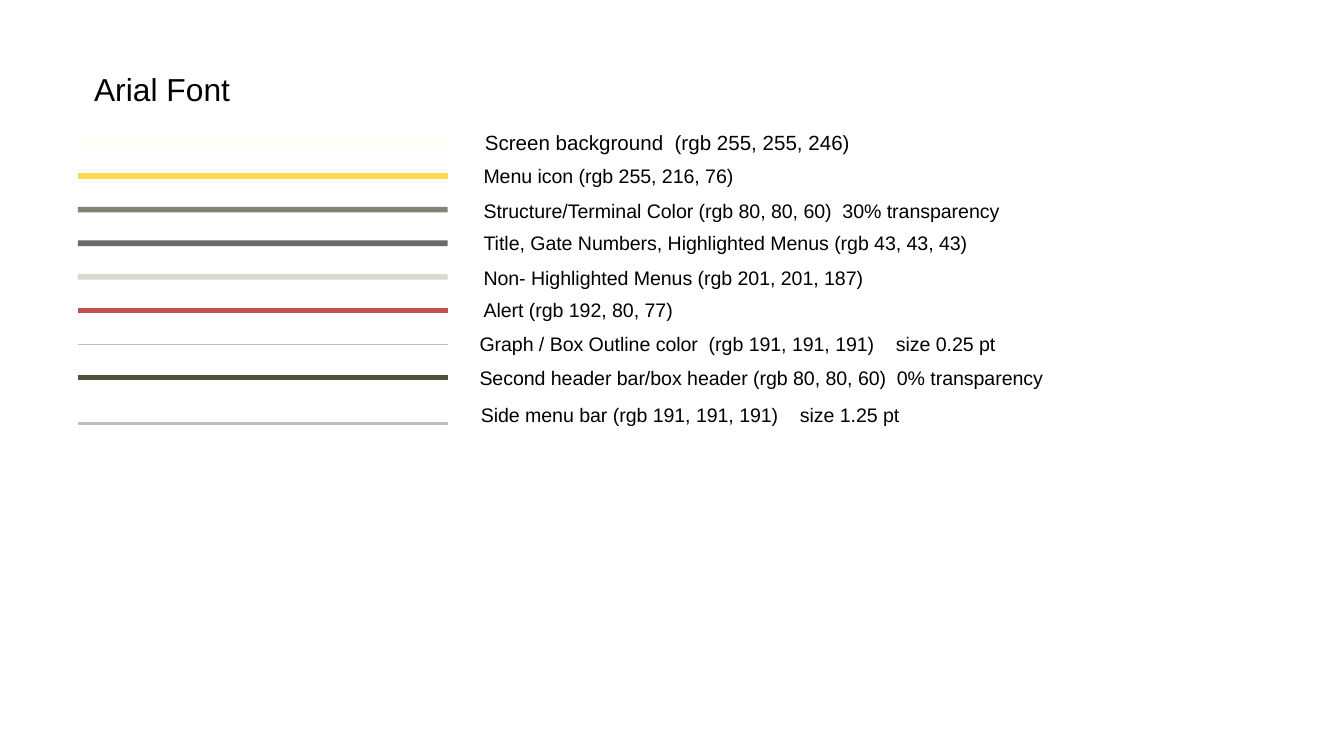
from dataclasses import dataclass

from lxml import etree
from pptx import Presentation
from pptx.dml.color import RGBColor
from pptx.enum.shapes import MSO_CONNECTOR
from pptx.enum.text import MSO_ANCHOR, MSO_AUTO_SIZE, PP_ALIGN
from pptx.oxml.ns import qn
from pptx.slide import Slide
from pptx.text.text import TextFrame
from pptx.util import Inches, Pt

STRAIGHT = MSO_CONNECTOR.STRAIGHT
TOP = MSO_ANCHOR.TOP
FIT_TEXT = MSO_AUTO_SIZE.SHAPE_TO_FIT_TEXT
LEFT = PP_ALIGN.LEFT
TITLE_ONLY = 5

# Widescreen page, 16 to 9
PAGE_WIDTH = Inches(10)
PAGE_HEIGHT = PAGE_WIDTH * 9 // 16

FONT = "Arial"
BLACK = RGBColor(0, 0, 0)
IVORY = RGBColor(255, 255, 246)
YELLOW = RGBColor(255, 216, 76)
OLIVE = RGBColor(80, 80, 60)
CHARCOAL = RGBColor(43, 43, 43)
STONE = RGBColor(201, 201, 187)
RED = RGBColor(192, 80, 77)
GREY = RGBColor(191, 191, 191)

# Grid, in inches: a colour line on the left, its label on the right
LINE_START, LINE_END = 0.58, 3.33
FIRST_LINE, FIRST_LABEL = 1.06, 0.92
ROW_STEP = 0.25
LABEL_LEFT, OUTLINE_LABEL_LEFT = 3.5, 3.47
LABEL_WIDTH, LABEL_HEIGHT = 5, 0.28


@dataclass
class Swatch:
    label: str
    color: RGBColor
    weight: float = 3
    opacity: int = 100
    left: float = LABEL_LEFT
    width: float = LABEL_WIDTH
    wrap: bool = True
    size: float = 10.5
    line_drop: float = 0
    label_drop: float = 0


SWATCHES = [
    Swatch("Screen background  (rgb 255, 255, 246)", IVORY, 4.5,
           left=3.51, width=2.93, wrap=False, size=11),
    Swatch("Menu icon (rgb 255, 216, 76)", YELLOW, width=2.1, wrap=False),
    Swatch("Structure/Terminal Color (rgb 80, 80, 60)  30% transparency", OLIVE,
           opacity=70, width=4.13, wrap=False, label_drop=0.01),
    Swatch("Title, Gate Numbers, Highlighted Menus (rgb 43, 43, 43)", CHARCOAL,
           opacity=70, width=3.87, wrap=False),
    Swatch("Non- Highlighted Menus (rgb 201, 201, 187)", STONE,
           opacity=70, label_drop=0.01),
    Swatch("Alert (rgb 192, 80, 77)", RED),
    Swatch("Graph / Box Outline color  (rgb 191, 191, 191)    size 0.25 pt", GREY, 0.25,
           left=OUTLINE_LABEL_LEFT),
    Swatch("Second header bar/box header (rgb 80, 80, 60)  0% transparency", OLIVE,
           left=OUTLINE_LABEL_LEFT, width=4.44, wrap=False),
    Swatch("Side menu bar (rgb 191, 191, 191)    size 1.25 pt", GREY, 1.25,
           left=3.48, line_drop=0.09, label_drop=0.03),
]


def write_text(frame: TextFrame, text: str, size: float, wrap: bool = True) -> None:
    frame.text = text
    frame.word_wrap = wrap
    frame.auto_size = FIT_TEXT
    frame.vertical_anchor = TOP
    para = frame.paragraphs[0]
    para.alignment = LEFT
    para.line_spacing = 1.0
    para.space_before = Pt(0)
    para.font.name = FONT
    para.font.size = Pt(size)
    para.font.color.rgb = BLACK


def draw_line(slide: Slide, swatch: Swatch, row: int) -> None:
    y = Inches(FIRST_LINE + row * ROW_STEP + swatch.line_drop)
    line = slide.shapes.add_connector(
        STRAIGHT, Inches(LINE_START), y, Inches(LINE_END), y)
    line.line.color.rgb = swatch.color
    line.line.width = Pt(swatch.weight)
    properties = line._element.spPr
    if swatch.opacity < 100:
        color = properties.find(".//" + qn("a:srgbClr"))
        etree.SubElement(color, qn("a:alpha")).set("val", str(swatch.opacity * 1000))
    etree.SubElement(properties, qn("a:effectLst"))


def draw_label(slide: Slide, swatch: Swatch, row: int) -> None:
    top = FIRST_LABEL + row * ROW_STEP + swatch.label_drop
    box = slide.shapes.add_textbox(
        Inches(swatch.left), Inches(top), Inches(swatch.width), Inches(LABEL_HEIGHT))
    write_text(box.text_frame, swatch.label, swatch.size, swatch.wrap)


def main() -> None:
    deck = Presentation()
    deck.slide_width, deck.slide_height = PAGE_WIDTH, PAGE_HEIGHT
    slide = deck.slides.add_slide(deck.slide_layouts[TITLE_ONLY])

    # Title
    title = slide.shapes.title
    title.left, title.top = Inches(0.6), Inches(0.47)
    title.width, title.height = Inches(1.5), Inches(0.39)
    write_text(title.text_frame, "Arial Font", 17)

    # Colour legend
    for row, swatch in enumerate(SWATCHES):
        draw_line(slide, swatch, row)
        draw_label(slide, swatch, row)

    deck.save("out.pptx")


if __name__ == "__main__":
    main()
